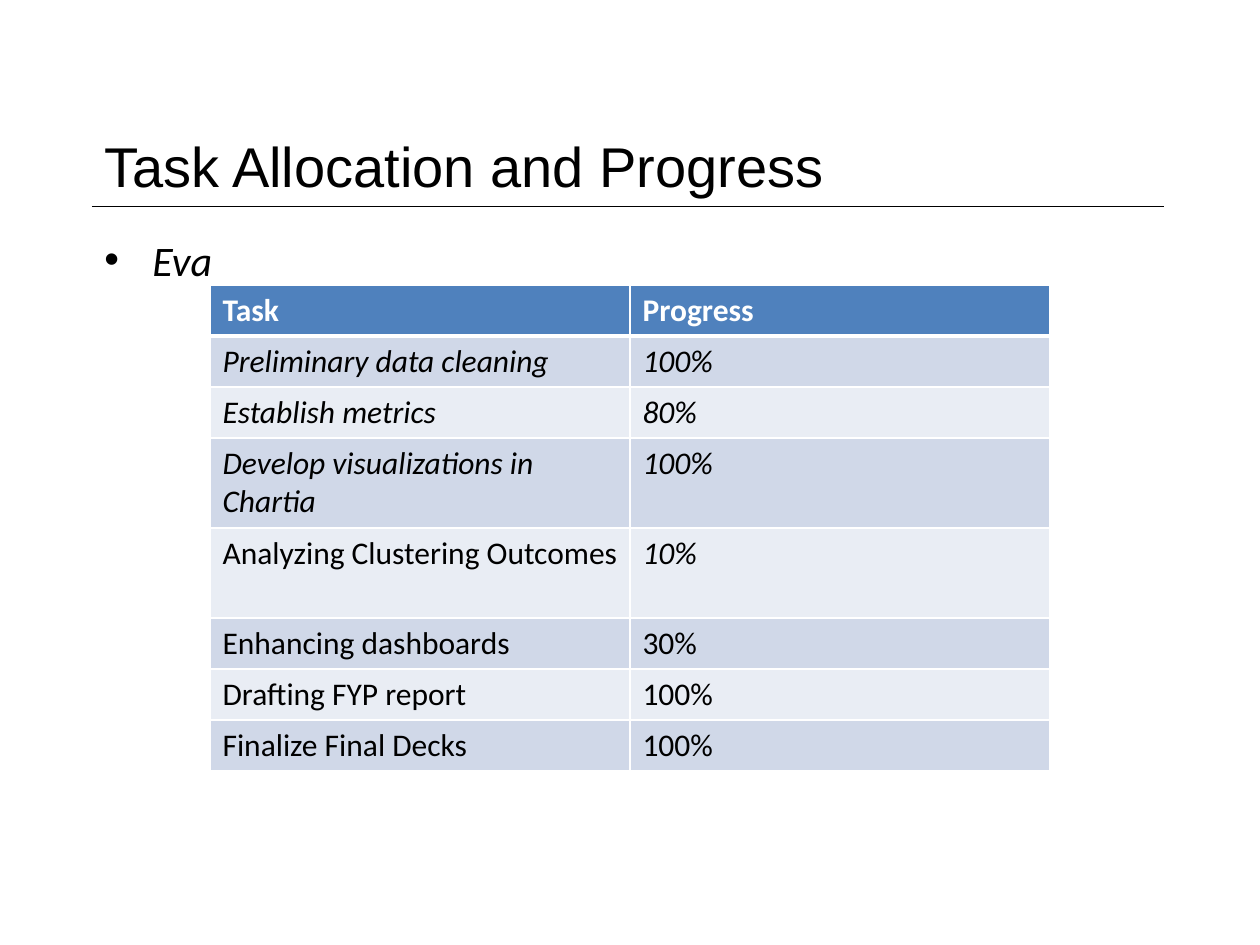
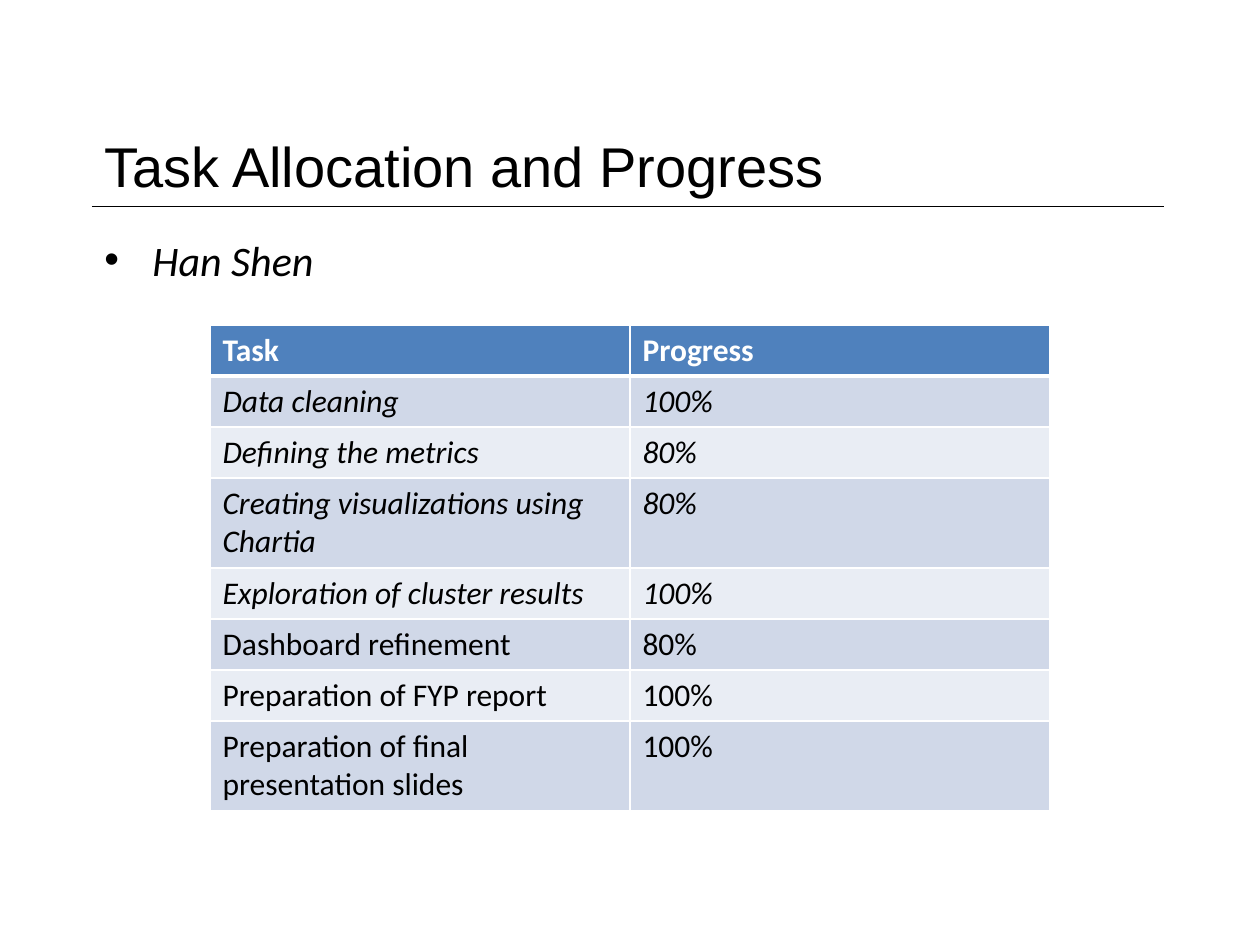
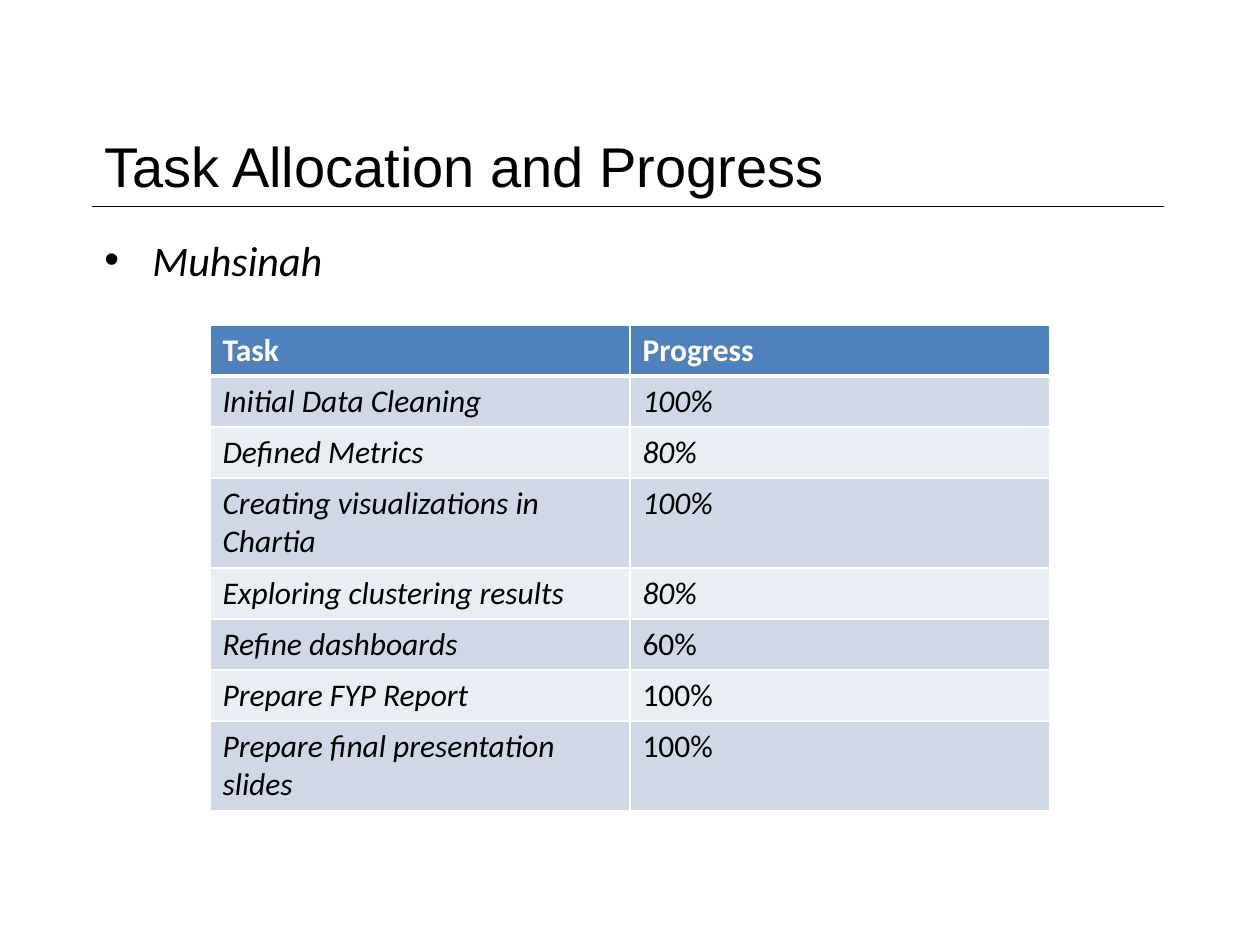
from lxml import etree
from pptx import Presentation
from pptx import util as u
from pptx.dml.color import RGBColor
from pptx.enum import shapes, text
from pptx.oxml.ns import qn

TITLE = "Task Allocation and Progress"
HEADER = ("Task", "Progress")

# ITALIC marks which of the two columns are slanted.
BOTH, TASK, PROGRESS, NEITHER = (True, True), (True, False), (False, True), (False, False)

MEMBERS = [
    {"name": "Eva", "top": 285, "tall": (3, 4), "rows": [
        ("Preliminary data cleaning", "100%", BOTH),
        ("Establish metrics", "80%", BOTH),
        ("Develop visualizations in Chartia", "100%", BOTH),
        ("Analyzing Clustering Outcomes", "10%", PROGRESS),
        ("Enhancing dashboards", "30%", NEITHER),
        ("Drafting FYP report", "100%", NEITHER),
        ("Finalize Final Decks", "100%", NEITHER),
    ]},
    {"name": "Han Shen", "top": 325, "tall": (3, 7), "rows": [
        ("Data cleaning", "100%", BOTH),
        ("Defining the metrics", "80%", BOTH),
        ("Creating visualizations using Chartia", "80%", BOTH),
        ("Exploration of cluster results", "100%", BOTH),
        ("Dashboard refinement", "80%", NEITHER),
        ("Preparation of FYP report", "100%", NEITHER),
        ("Preparation of final presentation slides", "100%", NEITHER),
    ]},
    {"name": "Muhsinah", "top": 325, "tall": (3, 7), "rows": [
        ("Initial Data Cleaning", "100%", BOTH),
        ("Defined Metrics", "80%", BOTH),
        ("Creating visualizations in Chartia", "100%", BOTH),
        ("Exploring clustering results", "80%", BOTH),
        ("Refine dashboards", "60%", TASK),
        ("Prepare FYP Report", "100%", TASK),
        ("Prepare final presentation slides", "100%", TASK),
    ]},
]

BLACK, WHITE = "000000", "FFFFFF"
HEADER_FILL, BANDS = "4F81BD", ("E9EDF4", "D0D8E8")
LEFT, WIDTH, RULE_Y = 92, 1072, 206
TABLE_LEFT, COL_WIDTH, ROW, TALL_ROW = 210, 420, 51, 90
INDENT = 48


def px(n):
    return u.Emu(round(n * 914400 / 126))


def rgb(color):
    return RGBColor.from_string(color)


def add_run(p, words, size, font="Calibri", color=BLACK, bold=False, italic=False):
    r = p.add_run()
    r.text = words
    f = r.font
    f.name, f.size, f.bold, f.italic = font, u.Pt(size), bold, italic
    f.color.rgb = rgb(color)


def add_title(s):
    sp = s.shapes.title
    sp.left, sp.top, sp.width, sp.height = px(LEFT), px(124), px(WIDTH), px(83)
    tf = sp.text_frame
    tf.vertical_anchor = text.MSO_ANCHOR.MIDDLE
    p = tf.paragraphs[0]
    p.alignment = text.PP_ALIGN.LEFT
    add_run(p, TITLE, 32, "Arial")


def add_rule(s):
    line = s.shapes.add_connector(shapes.MSO_CONNECTOR.STRAIGHT, px(LEFT), px(RULE_Y),
                                  px(LEFT + WIDTH), px(RULE_Y))
    line.line.color.rgb = rgb(BLACK)
    line.line.width = u.Pt(0.25)
    etree.SubElement(line.element.spPr, qn("a:effectLst"))


def add_name(s, name):
    tf = s.shapes.add_textbox(px(LEFT), px(228), px(WIDTH), px(622)).text_frame
    tf.word_wrap = True
    p = tf.paragraphs[0]
    pPr = p._p.get_or_add_pPr()
    pPr.set("marL", str(px(INDENT)))
    pPr.set("indent", str(-px(INDENT)))
    etree.SubElement(pPr, qn("a:buFont")).set("typeface", "Arial")
    etree.SubElement(pPr, qn("a:buChar")).set("char", "•")
    add_run(p, name, 24, italic=True)


def set_borders(cell, widths):
    tcPr = cell._tc.get_or_add_tcPr()
    for i, (side, width) in enumerate(widths.items()):
        ln = etree.Element(qn(f"a:ln{side}"), w=str(u.Pt(width)))
        fill = etree.SubElement(ln, qn("a:solidFill"))
        etree.SubElement(fill, qn("a:srgbClr")).set("val", WHITE)
        tcPr.insert(i, ln)


def add_tasks(s, member):
    rows = [(*HEADER, NEITHER), *member["rows"]]
    heights = [TALL_ROW if i in member["tall"] else ROW for i in range(len(rows))]
    table = s.shapes.add_table(len(rows), 2, px(TABLE_LEFT), px(member["top"]),
                               px(2 * COL_WIDTH), px(sum(heights))).table
    for col in table.columns:
        col.width = px(COL_WIDTH)
    for i, (task, progress, italics) in enumerate(rows):
        table.rows[i].height = px(heights[i])
        head = i == 0
        for j, words in enumerate((task, progress)):
            cell = table.cell(i, j)
            cell.fill.solid()
            cell.fill.fore_color.rgb = rgb(HEADER_FILL if head else BANDS[i % 2])
            set_borders(cell, {"L": 1, "R": 1, "T": 3 if i == 1 else 1, "B": 3 if head else 1})
            add_run(cell.text_frame.paragraphs[0], words, 18, color=WHITE if head else BLACK,
                    bold=head, italic=italics[j])


def main():
    prs = Presentation()
    prs.slide_width, prs.slide_height = px(1260), px(945)
    for member in MEMBERS:
        s = prs.slides.add_slide(prs.slide_layouts[5])
        add_title(s)
        add_rule(s)
        add_name(s, member["name"])
        add_tasks(s, member)
    prs.save("out.pptx")


if __name__ == "__main__":
    main()
